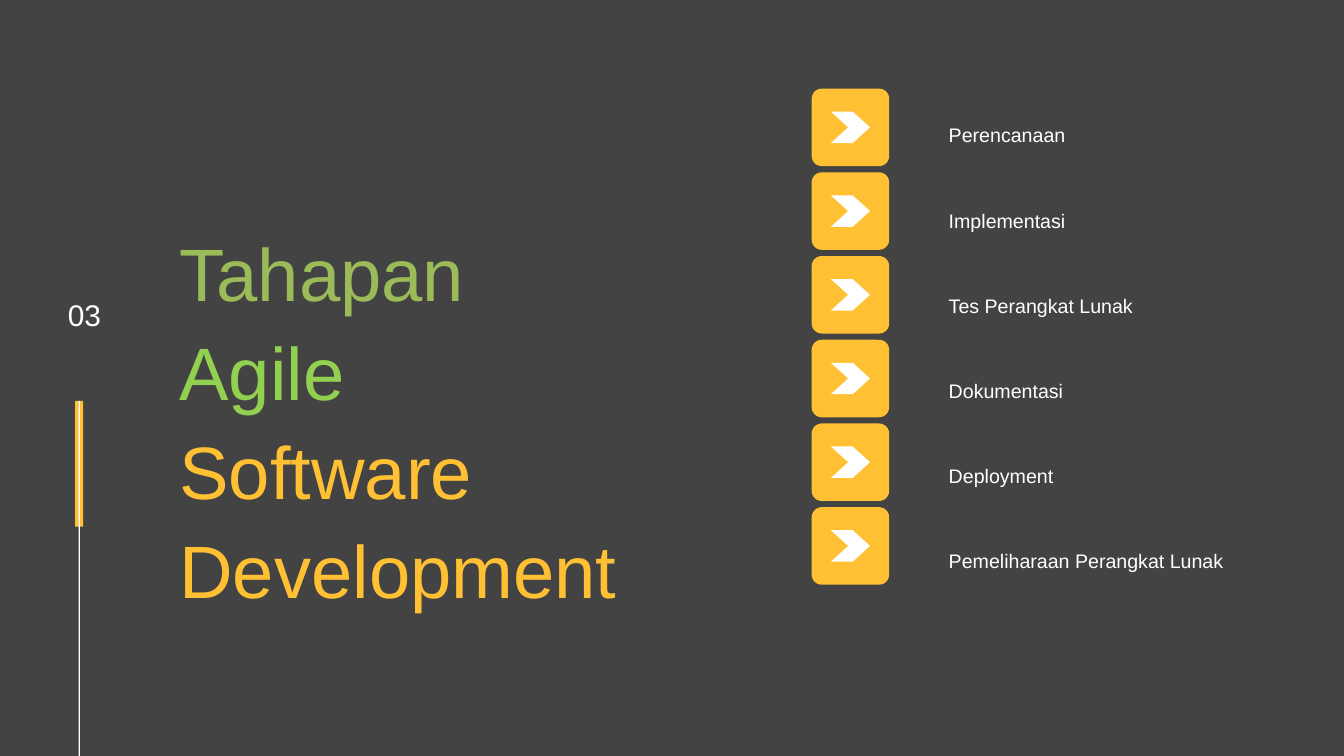
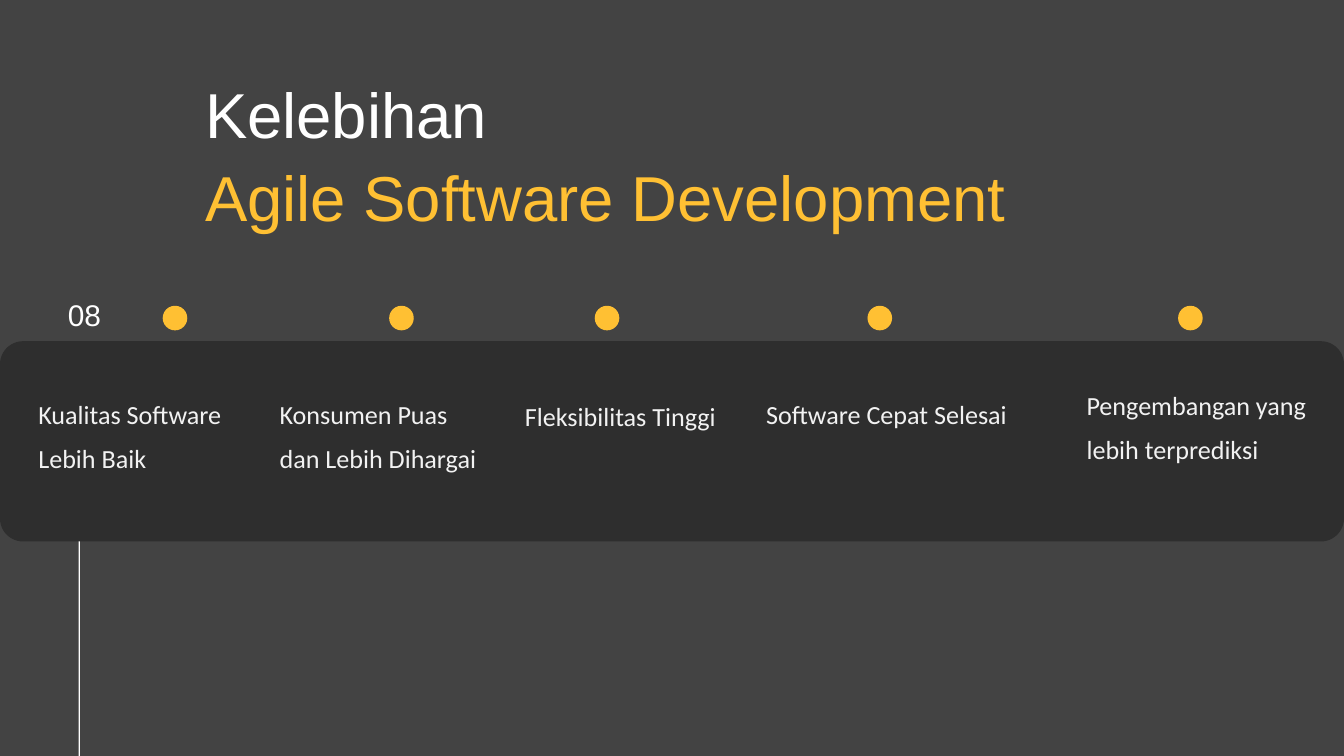
from dataclasses import dataclass

from pptx import Presentation
from pptx.dml.color import RGBColor
from pptx.enum.shapes import MSO_SHAPE
from pptx.enum.text import MSO_ANCHOR, MSO_AUTO_SIZE, PP_ALIGN
from pptx.oxml.xmlchemy import OxmlElement
from pptx.util import Cm, Pt


@dataclass(frozen=True)
class Theme:
    """Colours, fonts and type sizes of the presentation."""
    background: str = "434343"
    panel: str = "2E2E2E"
    accent: str = "FFC033"
    olive: str = "9BBB59"
    green: str = "92D050"
    white: str = "FFFFFF"
    soft_white: str = "F2F2F2"
    main_font: str = "Arial"
    label_font: str = "Calibri"
    large_title: float = 79.5
    title: float = 68
    number: float = 32
    stage: float = 21
    benefit: float = 28


@dataclass(frozen=True)
class Box:
    """A rectangle in centimetres."""
    left: float
    top: float
    width: float
    height: float

    def lengths(self):
        """Return the four sides as slide lengths."""
        return Cm(self.left), Cm(self.top), Cm(self.width), Cm(self.height)

    def inner(self, left, top, width, height):
        """Return a box placed relative to this one."""
        return Box(self.left + left, self.top + top, width, height)


THEME = Theme()
SLIDE = Box(0, 0, 50.8, 28.58)
RAIL = Box(2.84, 15.16, 0.3, 13.42)
NUMBER = Box(1.86, 11.2, 2.66, 1.22)
ARIAL_LINE = 1.15  # height of a single line as a share of the type size


def add_filled(shapes, preset, box, color, adjustment=None):
    """Add a preset shape with a plain fill and no outline."""
    shape = shapes.add_shape(preset, *box.lengths())
    shape.shadow.inherit = False
    shape.fill.solid()
    shape.fill.fore_color.rgb = RGBColor.from_string(color)
    shape.line.fill.background()
    if adjustment is not None:
        shape.adjustments[0] = adjustment
    return shape


def write_lines(shape, lines, size, colors, font=THEME.main_font,
                spacing=1.0, align=PP_ALIGN.LEFT):
    """Write one paragraph per line, each in its own colour."""
    frame = shape.text_frame
    frame.text = "\n".join(lines)
    frame.word_wrap = True
    frame.auto_size = MSO_AUTO_SIZE.NONE
    frame.vertical_anchor = MSO_ANCHOR.TOP
    frame.margin_left = frame.margin_right = 0
    frame.margin_top = frame.margin_bottom = 0
    for paragraph, color in zip(frame.paragraphs, colors):
        paragraph.alignment = align
        paragraph.line_spacing = spacing
        paragraph.space_before = Pt(0)
        for run in paragraph.runs:
            run.font.name = font
            run.font.size = Pt(size)
            run.font.color.rgb = RGBColor.from_string(color)


def move_to(shape, box):
    """Place a placeholder in the given box."""
    shape.left, shape.top, shape.width, shape.height = box.lengths()


def remove_bullet(paragraph):
    """Turn off the bullet and hanging indent of a paragraph."""
    properties = paragraph._p.get_or_add_pPr()
    properties.set("marL", "0")
    properties.set("indent", "0")
    properties.append(OxmlElement("a:buNone"))


def add_title(slide, box, lines, size, colors, spacing):
    """Fill the title placeholder with coloured lines."""
    move_to(slide.shapes.title, box)
    write_lines(slide.shapes.title, lines, size, colors, spacing=spacing)


def add_rail(slide, box):
    """Draw the accent bar and the thin line that runs to the slide's foot."""
    group = slide.shapes.add_group_shape()
    add_filled(group.shapes, MSO_SHAPE.RECTANGLE,
               box.inner(0, 0, box.width, 4.75), THEME.accent)
    add_filled(group.shapes, MSO_SHAPE.RECTANGLE,
               box.inner(0.13, 0, 0.05, box.height), THEME.white)


def add_number(slide, box, number):
    """Write the page number above the rail."""
    text_box = slide.shapes.add_textbox(*box.lengths())
    write_lines(text_box, [number], THEME.number, [THEME.white],
                align=PP_ALIGN.CENTER)


def add_stages(slide, box, stages):
    """Draw a column of arrow buttons with the list of stages beside it."""
    side, pitch = 2.93, 3.165
    arrow_width, arrow_height = 1.48, 1.19
    arrow_left, arrow_top = (side - arrow_width) / 2, (side - arrow_height) / 2
    for index in range(len(stages)):
        button = box.inner(0, index * pitch, side, side)
        add_filled(slide.shapes, MSO_SHAPE.ROUNDED_RECTANGLE, button,
                   THEME.accent, 0.13)
        arrow = button.inner(arrow_left, arrow_top, arrow_width, arrow_height)
        add_filled(slide.shapes, MSO_SHAPE.CHEVRON, arrow, THEME.white, 0.55)

    spacing = 1.5
    line_height = THEME.stage * ARIAL_LINE * spacing
    body = slide.placeholders[1]
    move_to(body, box.inner(5.18, arrow_top, box.width - 5.18, box.height))
    write_lines(body, stages, THEME.stage, [THEME.white] * len(stages),
                spacing=spacing)
    for paragraph in body.text_frame.paragraphs:
        paragraph.space_after = Pt(round(Cm(pitch).pt - line_height, 1))
        remove_bullet(paragraph)


def add_benefits(slide, box, benefits):
    """Draw the dark panel with a dot above it for each benefit."""
    add_filled(slide.shapes, MSO_SHAPE.ROUNDED_RECTANGLE, box,
               THEME.panel, 0.115)
    dot_size = 0.93
    for text, dot_left, left, top, width, line_count in benefits:
        label = box.inner(left, top, width, 1.32 * line_count)
        text_box = slide.shapes.add_textbox(*label.lengths())
        write_lines(text_box, [text], THEME.benefit, [THEME.soft_white],
                    THEME.label_font, 1.4)
        dot = box.inner(dot_left, -1.34, dot_size, dot_size)
        add_filled(slide.shapes, MSO_SHAPE.OVAL, dot, THEME.accent)


def build_stages_slide(presentation):
    """Build the slide with the stages of agile development."""
    slide = presentation.slides.add_slide(presentation.slide_layouts[1])
    add_rail(slide, RAIL)
    add_number(slide, NUMBER, "03")
    add_title(slide, Box(6.78, 8.23, 18.62, 12.6),
              ["Tahapan", "Agile", "Software", "Development"],
              THEME.large_title,
              [THEME.olive, THEME.green, THEME.accent, THEME.accent], 1.11)
    add_stages(slide, Box(30.68, 3.35, 17.25, 18.8),
               ["Perencanaan", "Implementasi", "Tes Perangkat Lunak",
                "Dokumentasi", "Deployment", "Pemeliharaan Perangkat Lunak"])


def build_benefits_slide(presentation):
    """Build the slide with the advantages of agile development."""
    slide = presentation.slides.add_slide(presentation.slide_layouts[5])
    add_rail(slide, RAIL)
    # text, dot left, label left, label top, label width, number of lines
    add_benefits(slide, Box(0, 12.9, SLIDE.width, 7.57), [
        ("Kualitas Software Lebih Baik", 6.15, 1.45, 1.7, 8.53, 2),
        ("Konsumen Puas dan Lebih Dihargai", 14.71, 10.57, 1.68, 7.7, 2),
        ("Fleksibilitas Tinggi", 22.48, 19.84, 1.78, 9.14, 1),
        ("Software Cepat Selesai", 32.79, 28.96, 1.7, 9.5, 1),
        ("Pengembangan yang lebih terprediksi", 44.53, 41.07, 1.35, 9.5, 2),
    ])
    add_number(slide, NUMBER, "08")
    add_title(slide, Box(7.75, 2.54, 41, 5.41),
              ["Kelebihan", "Agile Software Development"],
              THEME.title, [THEME.white, THEME.accent], 1.1)


def main():
    """Create and save the presentation."""
    presentation = Presentation()
    presentation.slide_width = Cm(SLIDE.width)
    presentation.slide_height = Cm(SLIDE.height)
    background = presentation.slide_master.background.fill
    background.solid()
    background.fore_color.rgb = RGBColor.from_string(THEME.background)
    build_stages_slide(presentation)
    build_benefits_slide(presentation)
    presentation.save("out.pptx")


main()
